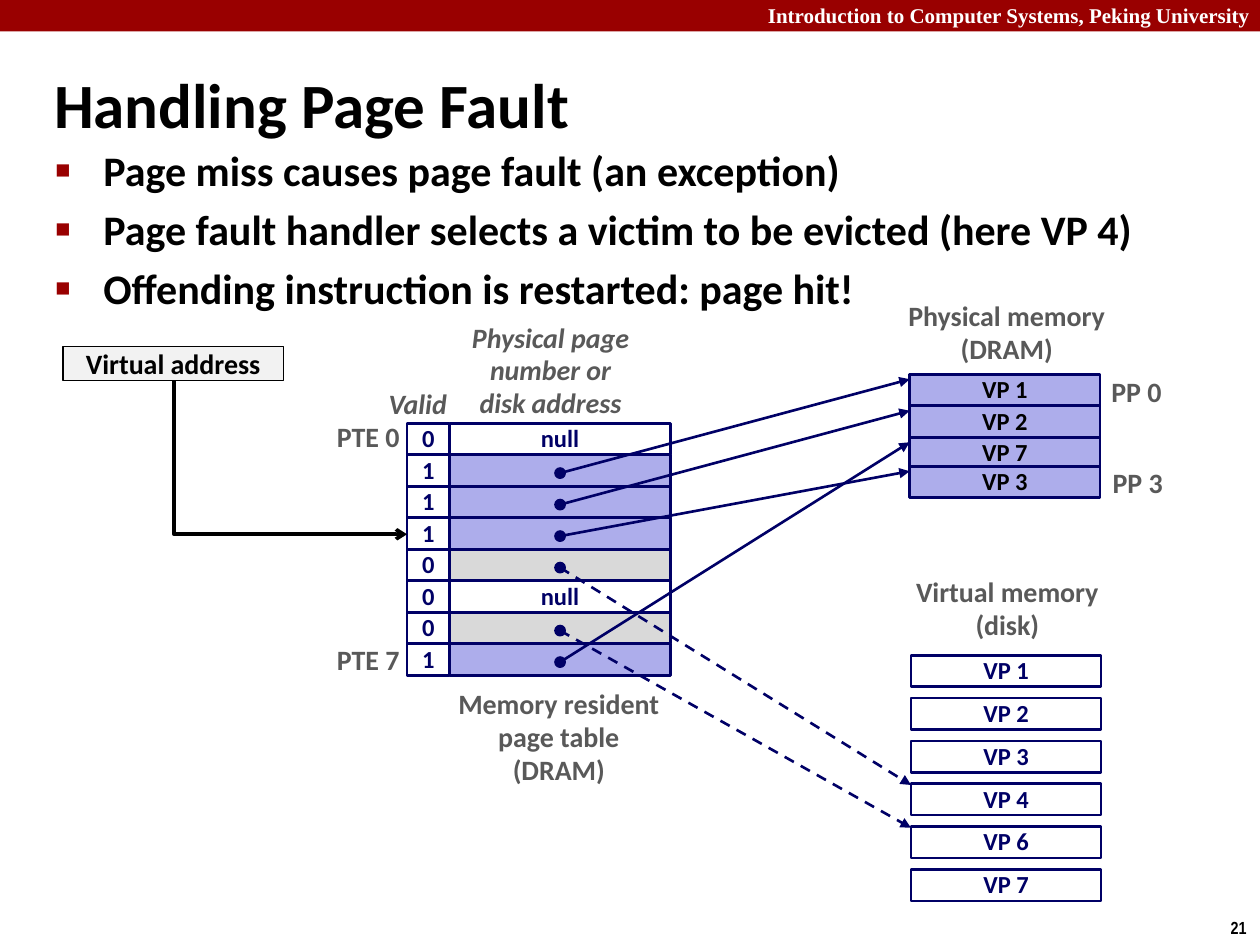
from lxml.etree import SubElement
from pptx import Presentation
from pptx.dml.color import RGBColor
from pptx.enum.dml import MSO_LINE
from pptx.enum.shapes import MSO_CONNECTOR as CONNECTOR, MSO_SHAPE as SHAPE
from pptx.enum.text import MSO_ANCHOR as ANCHOR, MSO_AUTO_SIZE as AUTO_SIZE, PP_ALIGN as ALIGN
from pptx.oxml.ns import qn
from pptx.util import Inches, Pt

COLORS = {
    "red": "990000", "white": "FFFFFF", "black": "000000", "navy": "000066",
    "lilac": "ADADEB", "gray": "D9D9D9", "pale": "F2F2F2", "label": "595959",
}

HEADER = "Introduction to Computer Systems, Peking University"
TITLE = "Handling Page Fault"
BULLETS = [
    "Page miss causes page fault (an exception)",
    "Page fault handler selects a victim to be evicted (here VP 4)",
    "Offending instruction is restarted: page hit!",
]
# Valid bit, cell text, fill, (memory, page) the entry points to
PAGE_TABLE = [
    ("0", "null", "white", None),
    ("1", "", "lilac", ("ram", "VP 1")),
    ("1", "", "lilac", ("ram", "VP 2")),
    ("1", "", "lilac", ("ram", "VP 3")),
    ("0", "", "gray", ("disk", "VP 4")),
    ("0", "null", "white", None),
    ("0", "", "gray", ("disk", "VP 6")),
    ("1", "", "lilac", ("ram", "VP 7")),
]
# Left, tops, fill, text colour, arrow offset below the top of a page
RAM_TOPS = {"VP 1": 2.97, "VP 2": 3.22, "VP 7": 3.47, "VP 3": 3.7}
DISK_PAGES = ["VP 1", "VP 2", "VP 3", "VP 4", "VP 6", "VP 7"]
DISK_TOPS = {name: 5.2 + 0.34 * i for i, name in enumerate(DISK_PAGES)}
MEMORIES = {
    "ram": (7.22, RAM_TOPS, "lilac", "black", 0.04),
    "disk": (7.23, DISK_TOPS, "white", "navy", 0.01),
}
# Lines, (left, top, width, height), italic, alignment
LABELS = [
    (["Memory resident", "page table", "(DRAM)"], (3.51, 5.41, 1.85, 0.89), False, ALIGN.CENTER),
    (["Physical memory", "(DRAM)"], (7.1, 2.33, 1.78, 0.63), False, ALIGN.CENTER),
    (["Virtual memory", "(disk)"], (7.15, 4.52, 1.69, 0.63), False, ALIGN.CENTER),
    (["Valid"], (2.94, 3.03, 0.75, 0.37), True, ALIGN.CENTER),
    (["Physical page", "number or", "disk address"], (3.64, 2.5, 1.46, 0.89), True, ALIGN.CENTER),
    (["PTE 0"], (2.57, 3.29, 0.7, 0.37), False, ALIGN.RIGHT),
    (["PTE 7"], (2.57, 5.06, 0.7, 0.37), False, ALIGN.RIGHT),
    (["PP 0"], (8.72, 2.93, 0.6, 0.37), False, ALIGN.CENTER),
    (["PP 3"], (8.73, 3.65, 0.6, 0.37), False, ALIGN.CENTER),
]
ROW = 0.25
TABLE_TOP = 3.36
VALID_LEFT, VALID_WIDTH = 3.23, 0.34
ENTRY_LEFT, ENTRY_WIDTH = 3.57, 1.75
PAGE_WIDTH = 1.51
DOT = 0.08
DOT_X = ENTRY_LEFT + ENTRY_WIDTH / 2


def rgb(name):
    return RGBColor.from_string(COLORS[name])


def write(shape, lines, size, color, align=ALIGN.CENTER, anchor=ANCHOR.MIDDLE,
          font="Calibri", italic=None, wrap=False, spacing=None):
    frame = shape.text_frame
    frame.auto_size = AUTO_SIZE.NONE
    frame.word_wrap = wrap
    frame.vertical_anchor = anchor
    frame.text = "\n".join(lines)
    for para in frame.paragraphs:
        para.alignment = align
        para.line_spacing = spacing
        para.font.name = font
        para.font.size = Pt(size)
        para.font.bold = True
        para.font.italic = italic
        para.font.color.rgb = rgb(color)


def place(shape, left, top, width, height):
    shape.left, shape.top = Inches(left), Inches(top)
    shape.width, shape.height = Inches(width), Inches(height)


def add_box(page, area, fill, line, weight=1.5, kind=SHAPE.RECTANGLE):
    box = page.shapes.add_shape(kind, *map(Inches, area))
    box.shadow.inherit = False
    box.fill.solid()
    box.fill.fore_color.rgb = rgb(fill)
    if line:
        box.line.color.rgb = rgb(line)
        box.line.width = Pt(weight)
    else:
        box.line.fill.background()
    return box


def add_label(page, lines, area, size, color, **style):
    write(page.shapes.add_textbox(*map(Inches, area)), lines, size, color, **style)


def add_arrow(page, start, end, color, weight, head, kind=CONNECTOR.STRAIGHT):
    arrow = page.shapes.add_connector(kind, *map(Inches, start + end))
    arrow.line.color.rgb = rgb(color)
    arrow.line.width = Pt(weight)
    SubElement(arrow.line._get_or_add_ln(), qn("a:tailEnd"), type=head)
    SubElement(arrow._element.spPr, qn("a:effectLst"))
    return arrow


def add_down_right_arrow(page, start, end):
    """One-bend arrow: a mirrored bentConnector2 turned by 270 degrees."""
    (x1, y1), (x2, y2) = start, end
    mid_x, mid_y = (x1 + x2) / 2, (y1 + y2) / 2
    half_w, half_h = (y2 - y1) / 2, (x2 - x1) / 2
    arrow = add_arrow(page, (mid_x + half_w, mid_y - half_h),
                      (mid_x - half_w, mid_y + half_h), "black", 2, "arrow", CONNECTOR.ELBOW)
    properties = arrow._element.spPr
    properties.find(qn("a:prstGeom")).set("prst", "bentConnector2")
    properties.find(qn("a:xfrm")).set("rot", str(270 * 60000))


def add_bullet(para):
    properties = para._p.get_or_add_pPr()
    properties.set("marL", str(Inches(0.38)))
    properties.set("indent", str(-Inches(0.38)))
    color = SubElement(properties, qn("a:buClr"))
    SubElement(color, qn("a:srgbClr"), val=COLORS["red"])
    SubElement(properties, qn("a:buSzPct"), val="60000")
    SubElement(properties, qn("a:buChar"), char="■")


def add_heading(page):
    add_box(page, (0, 0, 10, 0.25), "red", None)
    add_label(page, [HEADER], (6, -0.03, 4.02, 0.3), 12, "white", align=ALIGN.RIGHT,
              font="Times New Roman")
    add_label(page, ["21"], (9.66, 7.23, 0.34, 0.27), 10, "black", font="Arial Narrow")
    title, body = page.placeholders
    place(title, 0.33, 0.39, 9.06, 0.86)
    write(title, [TITLE], 36, "black", align=ALIGN.LEFT, wrap=True)
    place(body, 0.34, 1.1, 9.09, 1)
    body.text_frame.text = "\n".join(BULLETS)
    write(body, BULLETS, 24, "black", align=ALIGN.LEFT, anchor=ANCHOR.TOP, wrap=True)
    for i, para in enumerate(body.text_frame.paragraphs):
        para.space_before = Pt(4.8 if i else 0)
        add_bullet(para)


def add_memories(page):
    for left, tops, fill, color, _ in MEMORIES.values():
        for name, top in tops.items():
            box = add_box(page, (left, top, PAGE_WIDTH, ROW), fill, "navy")
            write(box, [name], 14, color, spacing=0.98)


def add_page_table(page):
    for i, (valid, text, fill, _) in enumerate(PAGE_TABLE):
        top = TABLE_TOP + i * ROW
        cells = [(VALID_LEFT, VALID_WIDTH, valid, "white"), (ENTRY_LEFT, ENTRY_WIDTH, text, fill)]
        for left, width, content, shade in cells:
            box = add_box(page, (left, top, width, ROW), shade, "navy")
            if content:
                write(box, [content], 14, "navy", spacing=0.98)


def add_pointers(page):
    for i, (_, _, _, target) in enumerate(PAGE_TABLE):
        if not target:
            continue
        memory, name = target
        left, tops, _, _, offset = MEMORIES[memory]
        y = TABLE_TOP + (i + 0.5) * ROW + 0.02
        arrow = add_arrow(page, (DOT_X, y), (left, tops[name] + offset), "navy", 1.5, "triangle")
        if memory == "disk":
            arrow.line.dash_style = MSO_LINE.DASH
        add_box(page, (DOT_X - DOT / 2, y - DOT / 2, DOT, DOT), "navy", "navy", 1, SHAPE.OVAL)


def main():
    deck = Presentation()
    deck.slide_width, deck.slide_height = Inches(10), Inches(7.5)
    page = deck.slides.add_slide(deck.slide_layouts[1])
    add_heading(page)
    add_page_table(page)
    add_memories(page)
    add_pointers(page)
    for lines, area, italic, align in LABELS:
        add_label(page, lines, area, 16, "label", italic=italic, align=align, spacing=0.98)
    address = add_box(page, (0.5, 2.75, 1.75, 0.27), "pale", "black", 1)
    write(address, ["Virtual address"], 16, "black")
    add_down_right_arrow(page, (1.38, 3.02), (VALID_LEFT, 4.24))
    deck.save("out.pptx")


if __name__ == "__main__":
    main()
